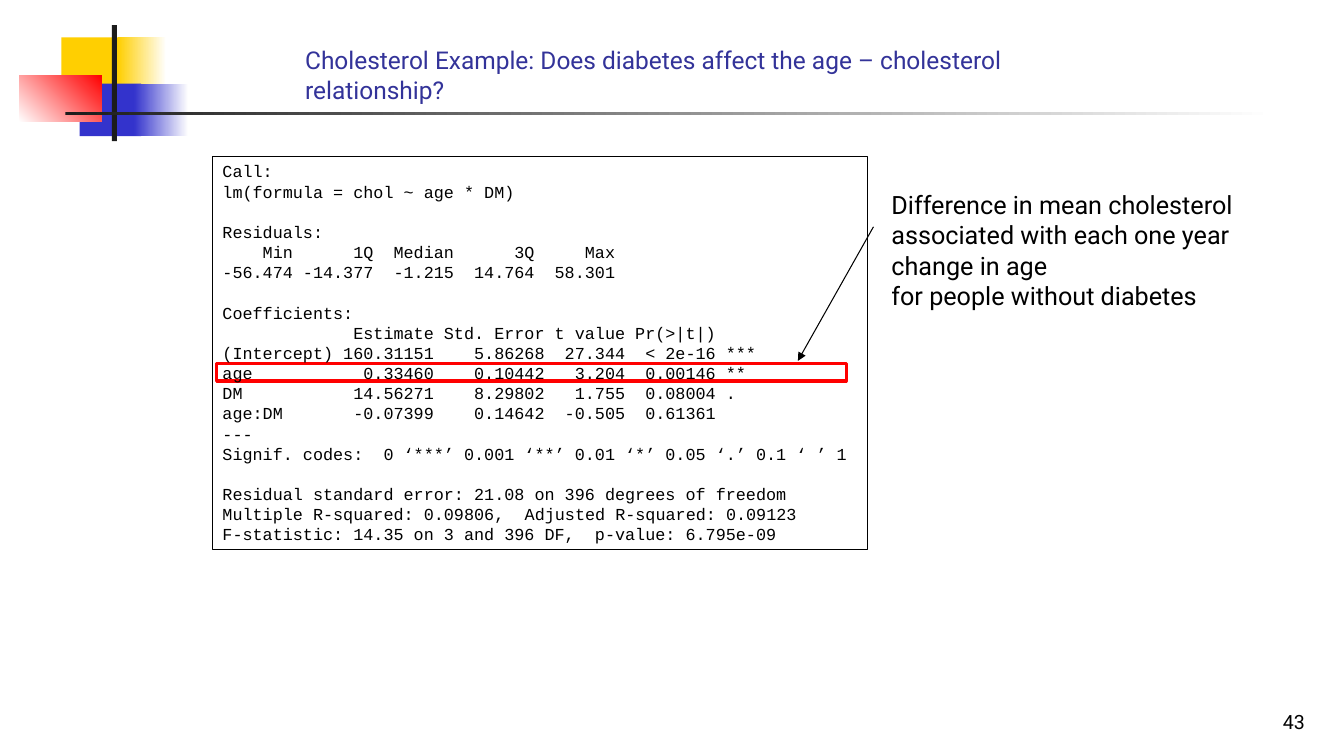
from dataclasses import dataclass

from pptx import Presentation
from pptx.dml.color import RGBColor
from pptx.enum.shapes import MSO_CONNECTOR, MSO_SHAPE
from pptx.enum.text import MSO_ANCHOR, PP_ALIGN
from pptx.oxml.ns import qn
from pptx.util import Inches, Pt
from lxml.etree import SubElement


@dataclass(frozen=True)
class Theme:
    body_font: str = "Roboto"
    code_font: str = "Courier New"
    title_size: float = 17.5
    body_size: float = 18
    code_size: float = 12
    code_pitch: float = 14.4
    number_size: float = 14
    title: str = "333399"
    text: str = "000000"
    bar: str = "1C1C1C"
    yellow: str = "FFCF01"
    blue: str = "3333CC"
    red: str = "FF0000"
    white: str = "FFFFFF"


class SlideBuilder:
    def __init__(self, slide, theme):
        self.slide = slide
        self.theme = theme

    def rect(self, box, fill=None, line=None, weight=0.75, angle=0):
        """Draw a rectangle; a pair of colours as fill makes a gradient."""
        sp = self.slide.shapes.add_shape(MSO_SHAPE.RECTANGLE, *map(Inches, box))
        sp.shadow.inherit = False
        if fill is None:
            sp.fill.background()
        elif isinstance(fill, tuple):
            sp.fill.gradient()
            sp.fill.gradient_angle = angle
            for stop, color in zip(sp.fill.gradient_stops, fill):
                stop.color.rgb = RGBColor.from_string(color)
        else:
            sp.fill.solid()
            sp.fill.fore_color.rgb = RGBColor.from_string(fill)
        if line is None:
            sp.line.fill.background()
        else:
            sp.line.color.rgb = RGBColor.from_string(line)
            sp.line.width = Pt(weight)
        return sp

    def style(self, p, size, font, color):
        p.font.size = Pt(size)
        p.font.name = font
        p.font.color.rgb = RGBColor.from_string(color)

    def text(self, box, content, size, color, align=PP_ALIGN.LEFT, anchor=MSO_ANCHOR.TOP):
        tf = self.slide.shapes.add_textbox(*map(Inches, box)).text_frame
        tf.word_wrap = True
        tf.vertical_anchor = anchor
        p = tf.paragraphs[0]
        p.text = content
        p.alignment = align
        self.style(p, size, self.theme.body_font, color)

    def code(self, box, blocks):
        """Draw framed program output, one line of space between blocks."""
        t = self.theme
        tf = self.rect(box, line=t.text).text_frame
        tf.word_wrap = False
        tf.vertical_anchor = MSO_ANCHOR.TOP
        p = tf.paragraphs[0]
        for b, block in enumerate(blocks):
            for n, row in enumerate(block.split("\n")):
                if b or n:
                    p = tf.add_paragraph()
                p.text = row
                p.alignment = PP_ALIGN.LEFT
                p.line_spacing = Pt(t.code_pitch)
                if b and n == 0:
                    p.space_before = Pt(t.code_pitch)
                self.style(p, t.code_size, t.code_font, t.text)

    def arrow(self, start, end):
        cx = self.slide.shapes.add_connector(
            MSO_CONNECTOR.STRAIGHT, *map(Inches, start + end))
        cx.line.color.rgb = RGBColor.from_string(self.theme.text)
        cx.line.width = Pt(0.75)
        SubElement(cx.line._get_or_add_ln(), qn("a:tailEnd"), type="triangle")
        SubElement(cx._element.spPr, qn("a:effectLst"))


OUTPUT = [
    """Call:
lm(formula = chol ~ age * DM)""",
    """Residuals:
    Min      1Q  Median      3Q     Max
-56.474 -14.377  -1.215  14.764  58.301""",
    """Coefficients:
             Estimate Std. Error t value Pr(>|t|)
(Intercept) 160.31151    5.86268  27.344  < 2e-16 ***
age           0.33460    0.10442   3.204  0.00146 **
DM           14.56271    8.29802   1.755  0.08004 .
age:DM       -0.07399    0.14642  -0.505  0.61361
---
Signif. codes:  0 ‘***’ 0.001 ‘**’ 0.01 ‘*’ 0.05 ‘.’ 0.1 ‘ ’ 1""",
    """Residual standard error: 21.08 on 396 degrees of freedom
Multiple R-squared: 0.09806,\tAdjusted R-squared: 0.09123
F-statistic: 14.35 on 3 and 396 DF,  p-value: 6.795e-09""",
]


def main():
    prs = Presentation()
    prs.slide_width, prs.slide_height = Inches(13.34), Inches(7.5)
    t = Theme()
    s = SlideBuilder(prs.slides.add_slide(prs.slide_layouts[6]), t)

    # Corner ornament and rule under the title
    s.rect((0.61, 0.37, 0.64, 0.52), t.yellow)
    s.rect((1.17, 0.37, 0.48, 0.52), (t.yellow, t.white))
    s.rect((0.79, 0.83, 0.61, 0.52), t.blue)
    s.rect((1.33, 0.83, 0.54, 0.52), (t.blue, t.white))
    s.rect((0.19, 0.75, 0.82, 0.46), (t.white, t.red), angle=45)
    s.rect((1.11, 0.25, 0.05, 1.15), t.bar)
    s.rect((0.65, 1.11, 11.99, 0.03), (t.bar, t.white))

    # Highlighted coefficient and its explanation
    s.rect((2.15, 3.61, 6.25, 0.17), line=t.red, weight=2.25)
    s.text((8.75, 1.83, 3.64, 1.3),
           "Difference in mean cholesterol associated with each one year "
           "change in age\vfor people without diabetes", t.body_size, t.text)
    s.arrow((8.67, 2.25), (7.92, 3.58))

    # Page number
    s.text((10.27, 6.83, 2.78, 0.5), "43", t.number_size, t.text,
           PP_ALIGN.RIGHT, MSO_ANCHOR.BOTTOM)

    # Regression output
    s.code((2.11, 1.55, 6.5, 3.9), OUTPUT)

    # Title
    s.text((2.93, 0.4, 8.52, 0.77),
           "Cholesterol Example: Does diabetes affect the age – cholesterol "
           "relationship?", t.title_size, t.title)

    prs.save("out.pptx")


if __name__ == "__main__":
    main()
